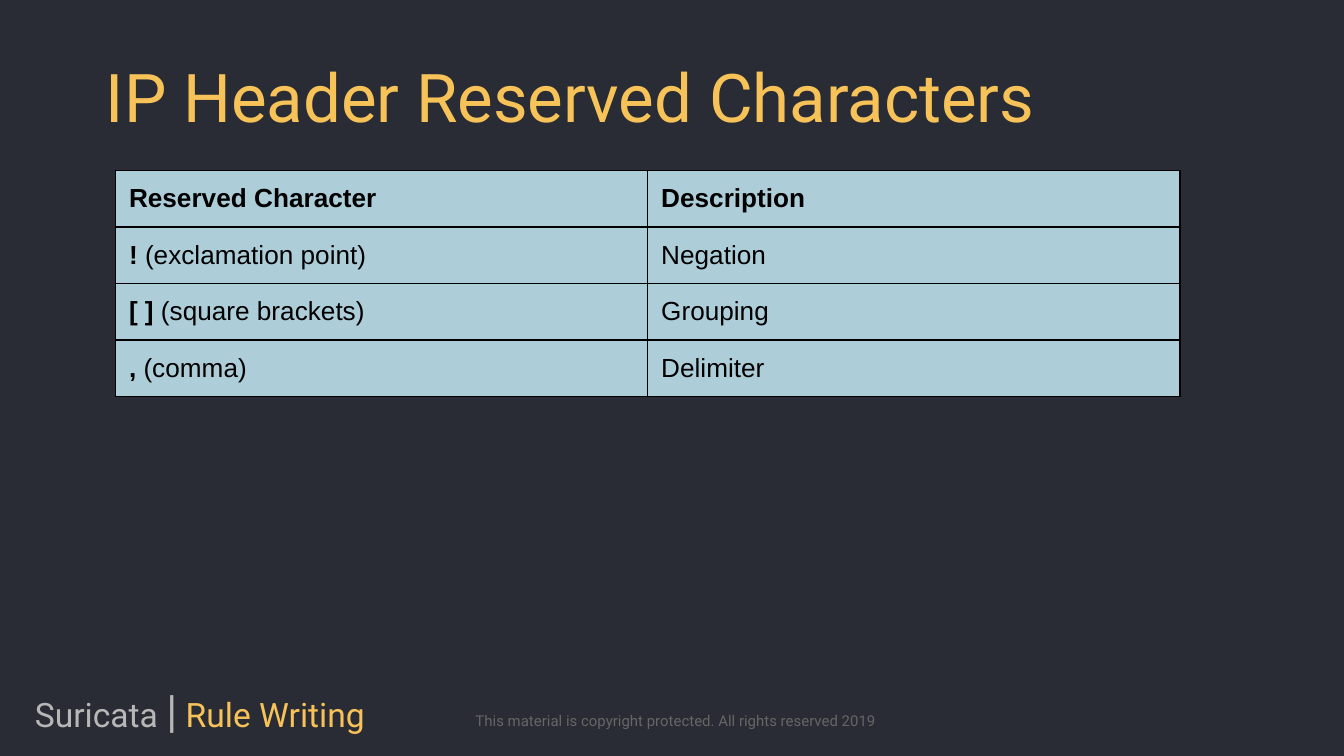
from typing import NamedTuple

from pptx import Presentation
from pptx.dml.color import RGBColor
from pptx.enum.text import MSO_ANCHOR, PP_ALIGN
from pptx.oxml import parse_xml
from pptx.oxml.ns import nsdecls
from pptx.util import Inches, Pt

LEFT, RIGHT = PP_ALIGN.LEFT, PP_ALIGN.RIGHT
TOP, MIDDLE = MSO_ANCHOR.TOP, MSO_ANCHOR.MIDDLE

GOLD, SILVER, GREY = "F7C359", "B7B7B7", "666666"
DARK, BLACK, BLUE = "292C34", "000000", "ADCDD8"


class Span(NamedTuple):
    text: str
    size: float = 14
    color: str = BLACK
    bold: bool = False
    face: str = "Arial"


class Box(NamedTuple):
    at: tuple[float, float, float, float]
    spans: list[Span]
    pad: tuple[float, float] = (0.1, 0.1)
    align: PP_ALIGN = LEFT
    anchor: MSO_ANCHOR = TOP
    pitch: float = 1.0


def rgb(code: str) -> RGBColor:
    return RGBColor.from_string(code)


def write(par, spans: list[Span]) -> None:
    for span in spans:
        run = par.add_run()
        run.text = span.text
        font = run.font
        font.name, font.size, font.bold = span.face, Pt(span.size), span.bold
        font.color.rgb = rgb(span.color)


def draw_box(slide, box: Box) -> None:
    frame = slide.shapes.add_textbox(*map(Inches, box.at)).text_frame
    frame.word_wrap = True
    frame.vertical_anchor = box.anchor
    side, edge = map(Inches, box.pad)
    frame.margin_left = frame.margin_right = side
    frame.margin_top = frame.margin_bottom = edge
    par = frame.paragraphs[0]
    par.alignment, par.line_spacing = box.align, box.pitch
    write(par, box.spans)


def add_rules(cell) -> None:
    """Put a thin black border on all four sides, before the fill is set."""
    props = cell._tc.get_or_add_tcPr()
    for side in ("lnL", "lnR", "lnT", "lnB"):
        props.append(parse_xml(
            f'<a:{side} {nsdecls("a")} w="{Pt(0.75)}"><a:solidFill>'
            f'<a:srgbClr val="{BLACK}"/></a:solidFill></a:{side}>'))


def draw_table(slide, rows: list[list[list[Span]]]) -> None:
    wide, high = 3.96, 0.42
    count = len(rows[0])
    size = (wide * count, high * len(rows))
    table = slide.shapes.add_table(
        len(rows), count, *map(Inches, (0.86, 1.27, *size))).table
    for col in table.columns:
        col.width = Inches(wide)
    for r, row in enumerate(rows):
        table.rows[r].height = Inches(high)
        for c, spans in enumerate(row):
            cell = table.cell(r, c)
            cell.margin_left = cell.margin_right = Inches(0.1)
            cell.margin_top, cell.margin_bottom = Inches(0.1), Inches(0.08)
            add_rules(cell)
            cell.fill.solid()
            cell.fill.fore_color.rgb = rgb(BLUE)
            write(cell.text_frame.paragraphs[0], spans)


BOXES = [
    Box((0.19, 5.04, 4.26, 0.43), [
        Span("Suricata ", 18, SILVER, face="Roboto"),
        Span("|", 24, SILVER, face="Roboto"),
        Span(" ", 18, SILVER, face="Roboto"),
        Span("Rule Writing", 18, GOLD, face="Roboto"),
    ], pad=(0.07, 0.04)),
    Box((3.38, 5.23, 3.24, 0.27), [
        Span("This material is copyright protected. All rights reserved 2019",
             8, GREY, face="Roboto"),
    ], align=RIGHT),
    Box((0.69, 0.34, 8.62, 0.82), [
        Span("IP Header Reserved Characters", 36, GOLD, face="Roboto"),
    ], anchor=MIDDLE, pitch=0.9),
]

MARKS = [
    ("! ", "(exclamation point)", "Negation"),
    ("[ ]", " (square brackets)", "Grouping"),
    (", ", "(comma)", "Delimiter"),
]


def main() -> None:
    deck = Presentation()
    deck.slide_width = Inches(10)
    deck.slide_height = deck.slide_width * 9 // 16
    slide = deck.slides.add_slide(deck.slide_layouts[6])
    fill = slide.background.fill
    fill.solid()
    fill.fore_color.rgb = rgb(DARK)
    for box in BOXES:
        draw_box(slide, box)
    head = [[Span(text, bold=True)]
            for text in ("Reserved Character", "Description")]
    body = [[[Span(mark, bold=True), Span(name)], [Span(use)]]
            for mark, name, use in MARKS]
    draw_table(slide, [head, *body])
    deck.save("out.pptx")


if __name__ == "__main__":
    main()
